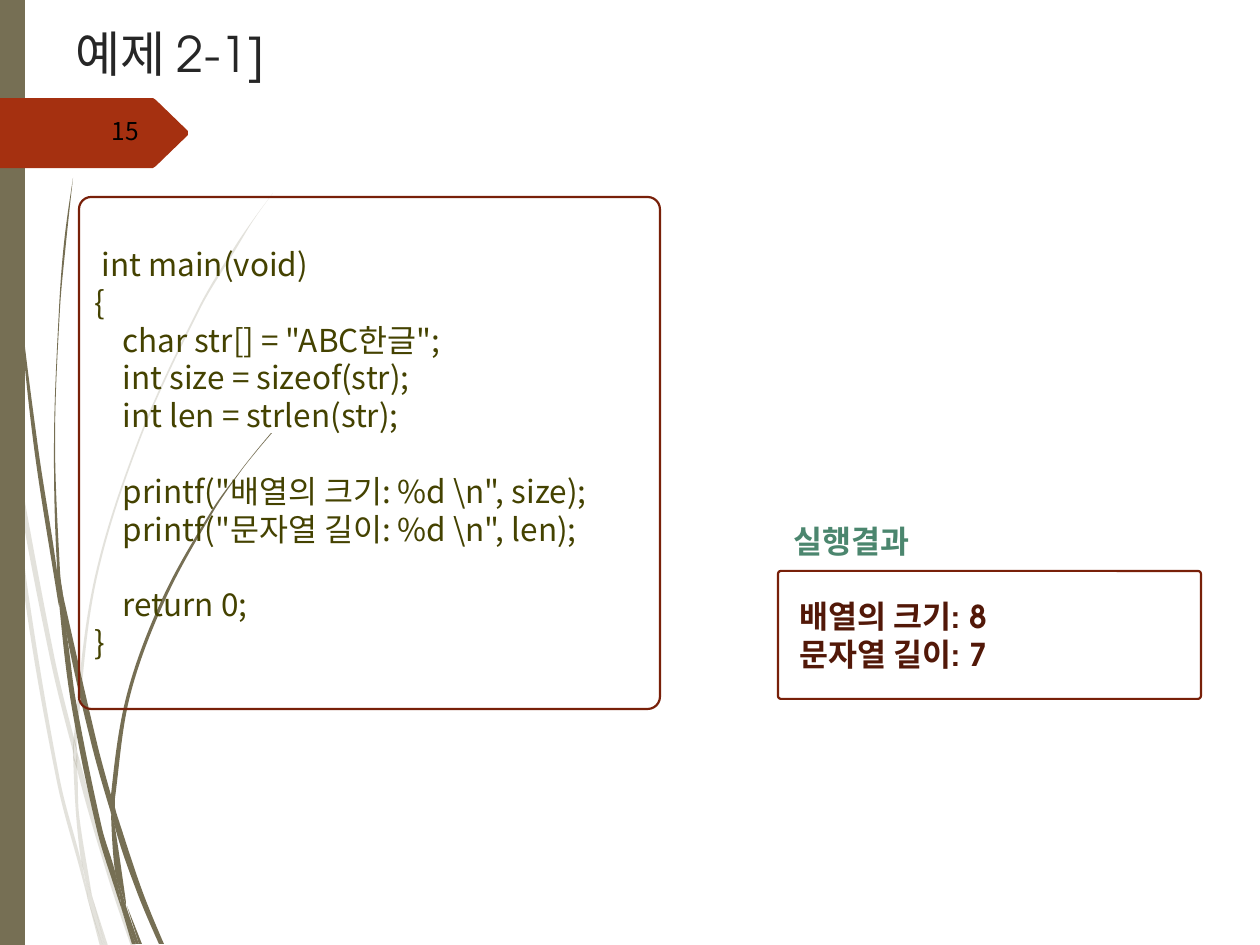
from dataclasses import dataclass
from math import dist
from typing import NamedTuple

from lxml.etree import SubElement
from pptx import Presentation
from pptx.dml.color import RGBColor
from pptx.enum.shapes import MSO_SHAPE as Shape
from pptx.enum.text import MSO_ANCHOR as Anchor, PP_ALIGN as Align
from pptx.oxml.ns import qn
from pptx.util import Emu, Pt

PX = 914400 // 126
OLIVE, RUST, MAROON = "766F54", "A53010", "782009"
SANS, GOTHIC = "Noto Sans CJK KR", "TeX Gyre Adventor"
Point = tuple[float, float]
Points = list[Point]


class Wisp(NamedTuple):
    left: Points
    right: Points


class Box(NamedTuple):
    x: int
    y: int
    w: int
    h: int


@dataclass
class Style:
    size: int
    font: str
    color: str
    bold: bool = False
    align: Align = Align.LEFT
    anchor: Anchor = Anchor.MIDDLE
    inset: int = 13
    spacing: float = 1.0


PALE_WISPS = [
    Wisp([(0, 377), (9, 433), (10, 441)], [(0, 355), (8, 406), (10, 441)]),
    Wisp([(13, 435), (15, 474), (50, 658), (74, 755)], [(13, 435), (54, 655), (74, 738)]),
    Wisp([(77, 751), (77, 769), (107, 874), (131, 946)],
         [(77, 751), (81, 765), (111, 872), (136, 946)]),
    Wisp([(92, 896), (105, 946)], [(92, 896), (108, 946)]),
    Wisp([(10, 441), (24, 592), (57, 782), (81, 873), (88, 900)],
         [(10, 441), (15, 474), (28, 591), (60, 780), (81, 861), (87, 891), (88, 900)]),
    Wisp([(73, 755), (76, 814), (81, 861), (84, 872), (92, 896)],
         [(73, 755), (77, 769), (79, 814), (91, 890), (92, 896)]),
    Wisp([(273, 193), (253, 220), (234, 248), (199, 307), (139, 438), (94, 581),
          (74, 736), (77, 751)],
         [(273, 193), (253, 221), (236, 249), (200, 309), (140, 440), (96, 582),
          (77, 736), (77, 751)]),
    Wisp([(88, 900), (100, 946)], [(88, 900), (103, 946)]),
    Wisp([(74, 738), (73, 755), (77, 769)], [(74, 738), (77, 751), (77, 769)]),
    Wisp([(82, 861), (87, 891), (88, 900), (103, 946)],
         [(82, 861), (84, 872), (92, 896), (105, 946)]),
]
DARK_WISPS = [
    Wisp([(3, 0), (4, 60), (6, 139), (18, 294), (34, 447), (58, 601), (59, 606)],
         [(4, 0), (5, 60), (8, 137), (19, 292), (38, 447), (57, 571), (59, 606)]),
    Wisp([(63, 595), (67, 636), (92, 746), (111, 813)], [(63, 595), (97, 743), (111, 795)]),
    Wisp([(115, 808), (115, 827), (137, 892), (159, 944)],
         [(115, 808), (118, 818), (142, 890), (164, 944)]),
    Wisp([(59, 601), (71, 702), (97, 830), (116, 892), (122, 910)],
         [(59, 601), (67, 636), (76, 701), (102, 828), (115, 871), (121, 903), (122, 910)]),
    Wisp([(73, 178), (64, 243), (59, 309), (54, 440), (57, 566), (63, 595)],
         [(73, 178), (66, 243), (60, 309), (55, 440), (60, 571), (63, 595)]),
    Wisp([(127, 906), (139, 944)], [(127, 906), (142, 944)]),
    Wisp([(57, 566), (59, 601), (67, 636)], [(57, 566), (63, 595), (67, 636)]),
    Wisp([(271, 433), (256, 451), (241, 470), (212, 510), (163, 597), (127, 694),
          (111, 795), (115, 808)],
         [(272, 433), (256, 452), (241, 471), (213, 512), (165, 600), (130, 696),
          (115, 798), (115, 808)]),
    Wisp([(122, 910), (132, 944)], [(122, 910), (136, 944)]),
    Wisp([(111, 813), (115, 871), (121, 890), (126, 906)],
         [(111, 813), (113, 820), (115, 827), (126, 902), (126, 906)]),
    Wisp([(111, 795), (111, 813), (115, 827)], [(111, 795), (115, 808), (115, 827)]),
    Wisp([(115, 871), (121, 903), (122, 910), (136, 944)],
         [(115, 871), (121, 890), (126, 906), (139, 944)]),
]
PAGE_TAG = [(0, 98), (153, 98), (156, 100), (188, 131), (188, 135), (156, 166),
            (153, 168), (0, 168)]
CODE = """ int main(void)
{
    char str[] = "ABC한글";
    int size = sizeof(str);
    int len = strlen(str);

    printf("배열의 크기: %d \\n", size);
    printf("문자열 길이: %d \\n", len);

    return 0;
}"""
RESULT = "배열의 크기: 8\n문자열 길이: 7"


def rgb(color: str) -> RGBColor:
    return RGBColor.from_string(color)


def px(*lengths: float) -> list[Emu]:
    return [Emu(round(n * PX)) for n in lengths]


def blend(a: Point, b: Point, t: float) -> Point:
    return a[0] + (b[0] - a[0]) * t, a[1] + (b[1] - a[1]) * t


def curves(knots: Points) -> list[Points]:
    result = []
    last = len(knots) - 2
    for i, (a, b) in enumerate(zip(knots, knots[1:])):
        span = dist(a, b)
        c1, c2 = blend(a, b, 1 / 3), blend(a, b, 2 / 3)
        if i > 0:
            before = knots[i - 1]
            t = span / (span + dist(before, a)) / 3
            c1 = a[0] + (b[0] - before[0]) * t, a[1] + (b[1] - before[1]) * t
        if i < last:
            after = knots[i + 2]
            t = span / (span + dist(b, after)) / 3
            c2 = b[0] - (after[0] - a[0]) * t, b[1] - (after[1] - a[1]) * t
        if i == 0 and last:
            c1 = blend(a, c2, 0.5)
        if i == last and i:
            c2 = blend(b, c1, 0.5)
        result.append([c1, c2, b])
    return result


def paint(sp, color: str, alpha: int = 100) -> None:
    sp.shadow.inherit = False
    sp.line.fill.background()
    sp.fill.solid()
    sp.fill.fore_color.rgb = rgb(color)
    if alpha < 100:
        clr = sp.fill._xPr.find(qn("a:solidFill"))[0]
        SubElement(clr, qn("a:alpha"), val=str(alpha * 1000))


def add_outline(shapes, points: Points, color: str, alpha: int = 100):
    start, *rest = [px(*point) for point in points]
    builder = shapes.build_freeform(*start)
    builder.add_line_segments(rest)
    sp = builder.convert_to_shape()
    paint(sp, color, alpha)
    return sp


def add_wisp(shapes, wisp: Wisp, alpha: int = 100) -> None:
    tip, end = wisp.left[-1], wisp.right[-1]
    segments = curves(wisp.left)
    if tip != end:
        segments += curves([tip, end])
    segments += curves(wisp.right[::-1])
    sp = add_outline(shapes, [wisp.left[0]] + [s[-1] for s in segments], OLIVE, alpha)
    for line, points in zip(list(sp._element.iter(qn("a:lnTo"))), segments):
        bez = line.makeelement(qn("a:cubicBezTo"), {})
        for x, y in (px(*point) for point in points):
            SubElement(bez, qn("a:pt"), x=str(x - sp.left), y=str(y - sp.top))
        line.getparent().replace(line, bez)


def write(sp, text: str, style: Style) -> None:
    tf = sp.text_frame
    tf.word_wrap = True
    tf.vertical_anchor = style.anchor
    tf.margin_left, tf.margin_right, tf.margin_top, tf.margin_bottom = px(style.inset, 13, 6, 6)
    for i, block in enumerate(text.split("\n\n")):
        for j, line in enumerate(block.split("\n")):
            p = tf.add_paragraph() if i or j else tf.paragraphs[0]
            p.alignment, p.line_spacing = style.align, style.spacing
            if i and not j:
                p.space_before = Pt(style.size * 1.2)
            r = p.add_run()
            r.text = line
            r.font.size, r.font.bold, r.font.name = Pt(style.size), style.bold, style.font
            r.font.color.rgb = rgb(style.color)
            SubElement(r._r.get_or_add_rPr(), qn("a:ea"), typeface=SANS)


def add_label(shapes, box: Box, text: str, style: Style) -> None:
    write(shapes.add_textbox(*px(*box)), text, style)


def add_panel(shapes, box: Box, text: str, style: Style) -> None:
    sp = shapes.add_shape(Shape.ROUNDED_RECTANGLE, *px(*box))
    sp.adjustments[0] = 0.024
    sp.shadow.inherit = False
    sp.fill.background()
    sp.line.color.rgb, sp.line.width = rgb(MAROON), Pt(1.25)
    write(sp, text, style)


prs = Presentation()
prs.slide_width, prs.slide_height = px(1260, 945)
shapes = prs.slides.add_slide(prs.slide_layouts[6]).shapes
for wisps, alpha in ((PALE_WISPS, 20), (DARK_WISPS, 100)):
    for wisp in wisps:
        add_wisp(shapes, wisp, alpha)
paint(shapes.add_shape(Shape.RECTANGLE, *px(0, 0, 25, 945)), OLIVE)
add_outline(shapes, PAGE_TAG, RUST)
add_label(shapes, Box(63, 17, 1040, 92), "예제 2-1]", Style(28, GOTHIC, "262626", anchor=Anchor.TOP))
add_label(shapes, Box(71, 108, 81, 50), "15", Style(14, SANS, "000000", align=Align.RIGHT, spacing=0.8))
add_panel(shapes, Box(79, 197, 581, 512), CODE, Style(18, SANS, "444200", inset=12))
add_panel(shapes, Box(778, 571, 423, 128), RESULT, Style(18, GOTHIC, "521808", bold=True, inset=21))
add_label(shapes, Box(738, 511, 227, 59), "실행결과",
          Style(18, GOTHIC, "4B866E", bold=True, align=Align.CENTER))
prs.save("out.pptx")
